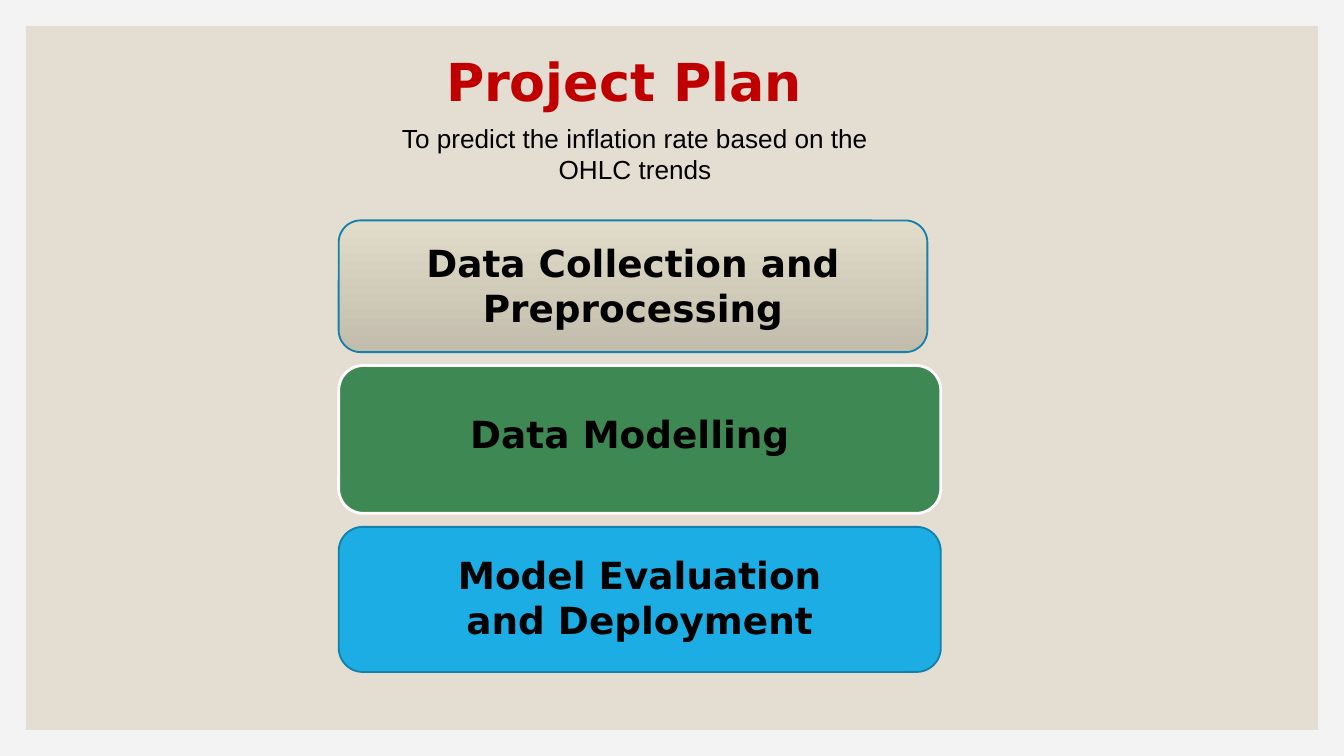
from pptx import Presentation
from pptx.dml.color import RGBColor
from pptx.enum.shapes import MSO_SHAPE as Shape
from pptx.enum.text import MSO_AUTO_SIZE as AutoSize, PP_ALIGN as Align
from pptx.util import Inches, Pt

# Square grid: 100 columns by 56.25 rows
CELL = Inches(0.1)
COLUMNS, ROWS = 100, 56.25
MARGIN = 1.93

BACKDROP = RGBColor(0xF3, 0xF3, 0xF3)
PANEL = RGBColor(0xE3, 0xDE, 0xD1)
RED = RGBColor(0xC0, 0x00, 0x00)
BLACK = RGBColor(0x00, 0x00, 0x00)
WHITE = RGBColor(0xFF, 0xFF, 0xFF)
SAND_LIGHT = RGBColor(0xE2, 0xDC, 0xCA)
SAND_DARK = RGBColor(0xC2, 0xBC, 0xAC)
GREEN = RGBColor(0x3E, 0x88, 0x53)
BLUE = RGBColor(0x1C, 0xAD, 0xE4)
DEEP_BLUE = RGBColor(0x15, 0x80, 0xA9)

TITLE_FONT = {"name": "DejaVu Sans", "size": Pt(28), "bold": True}
GOAL_FONT = {"name": "Arial", "size": Pt(14), "bold": False}
STEP_FONT = {"name": "DejaVu Sans", "size": Pt(20), "bold": True}

# Text, card size, fills from top to bottom, line, line width,
# label box relative to the card, alignment
STEPS = [
    ("Data Collection and Preprocessing", (43.8, 9.8), (SAND_LIGHT, SAND_DARK),
     DEEP_BLUE, 1, (0, 1, 43.8, 7.7), Align.CENTER),
    ("Data Modelling", (44.8, 11), (GREEN,),
     WHITE, 1.5, (8.8, 2.9, 33.5, 4.4), Align.LEFT),
    ("Model Evaluation and Deployment", (44.8, 10.8), (BLUE,),
     DEEP_BLUE, 1, (7, 1.4, 30.8, 7.7), Align.CENTER),
]
STEP_GAP = 1


def on_grid(box):
    return [round(cells * CELL) for cells in box]


def inside(box, part):
    return box[0] + part[0], box[1] + part[1], part[2], part[3]


def add_text(slide, box, text, font_format, color, align):
    frame = slide.shapes.add_textbox(*on_grid(box)).text_frame
    frame.word_wrap = True
    frame.auto_size = AutoSize.SHAPE_TO_FIT_TEXT
    paragraph = frame.paragraphs[0]
    paragraph.alignment = align
    run = paragraph.add_run()
    run.text = text
    for key, value in font_format.items():
        setattr(run.font, key, value)
    run.font.color.rgb = color


def add_block(slide, preset, box, fills):
    block = slide.shapes.add_shape(preset, *on_grid(box))
    block.shadow.inherit = False
    if len(fills) > 1:
        block.fill.gradient()
        block.fill.gradient_angle = 270
        for stop, color in zip(block.fill.gradient_stops, fills):
            stop.color.rgb = color
    else:
        block.fill.solid()
        block.fill.fore_color.rgb = fills[0]
    return block


def add_panel(slide, box):
    slide.background.fill.solid()
    slide.background.fill.fore_color.rgb = BACKDROP
    add_block(slide, Shape.RECTANGLE, box, (PANEL,)).line.fill.background()


def add_header(slide, box):
    add_text(slide, inside(box, (3.5, 0, 39.1, 5.7)),
             "Project Plan", TITLE_FONT, RED, Align.LEFT)
    add_text(slide, inside(box, (0, 5.4, 37.1, 5.7)),
             "To predict the inflation rate based on the OHLC trends",
             GOAL_FONT, BLACK, Align.CENTER)


def add_steps(slide, left, top):
    for text, size, fills, line, line_width, label, align in STEPS:
        box = (left, top, *size)
        card = add_block(slide, Shape.ROUNDED_RECTANGLE, box, fills)
        card.line.color.rgb = line
        card.line.width = Pt(line_width)
        add_text(slide, inside(box, label), text, STEP_FONT, BLACK, align)
        top += size[1] + STEP_GAP


def main():
    deck = Presentation()
    deck.slide_width, deck.slide_height = on_grid((COLUMNS, ROWS))
    slide = deck.slides.add_slide(deck.slide_layouts[6])
    add_panel(slide, (MARGIN, MARGIN, COLUMNS - 2 * MARGIN, ROWS - 2 * MARGIN))
    add_header(slide, (28.7, 3.2))
    add_steps(slide, 25.2, 16.4)
    deck.save("out.pptx")


if __name__ == "__main__":
    main()
